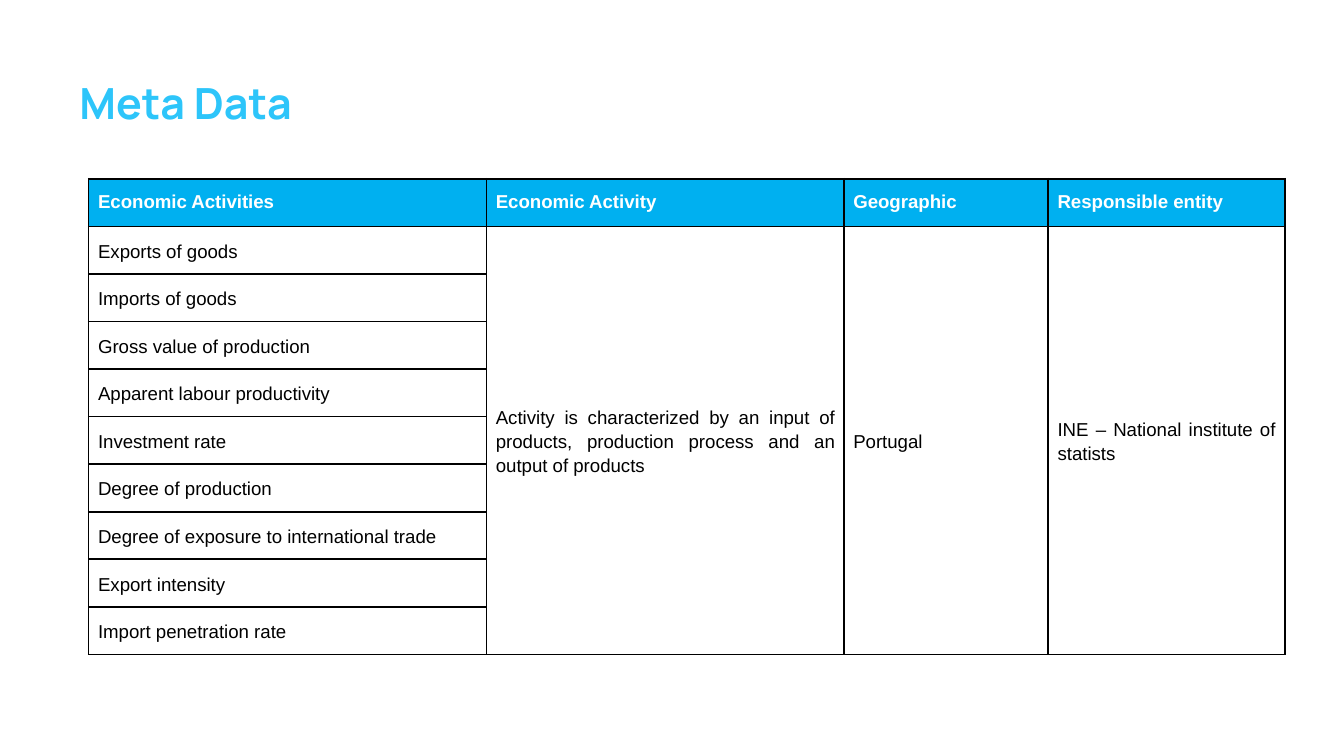
from pptx import Presentation, util as u
from pptx.dml import color
from pptx.enum import text
from pptx.oxml import parse_xml
from pptx.oxml import ns

TITLE = "Meta Data"
HEADERS = ["Economic Activities", "Economic Activity", "Geographic", "Responsible entity"]
ACTIVITIES = [
    "Exports of goods",
    "Imports of goods",
    "Gross value of production",
    "Apparent labour productivity",
    "Investment rate",
    "Degree of production",
    "Degree of exposure to international trade",
    "Export intensity",
    "Import penetration rate",
]
SHARED = [
    "Activity is characterized by an input of products, production process and an output of products",
    "Portugal",
    "INE – National institute of statists",
]

THEME = {
    "title": {"name": "Manrope", "size": 23, "bold": True, "color": "2DC5FA"},
    "header": {"name": "Arial", "size": 10, "bold": True, "color": "FFFFFF"},
    "body": {"name": "Arial", "size": 10, "bold": False, "color": "000000"},
    "header_fill": "00B0F0",
    "border": "000000",
}
SLIDE_WIDTH = 10
SLIDE_SIZE = (SLIDE_WIDTH, SLIDE_WIDTH * 9 / 16)
TITLE_BOX = (0.49, 0.47, 3.28, 0.81)
TABLE_BOX = (0.66, 1.33, 8.9, 3.54)
COLUMN_WIDTHS = (2.96, 2.66, 1.52, 1.76)


def apply_format(target, values):
    for name, value in values.items():
        setattr(target, name, value)


def style_font(font, style):
    values = {name: style[name] for name in ("name", "bold")}
    apply_format(font, {**values, "size": u.Pt(style["size"])})
    font.color.rgb = color.RGBColor.from_string(style["color"])


def add_borders(cell):
    properties = cell._tc.get_or_add_tcPr()
    for side in ("lnL", "lnR", "lnT", "lnB"):
        properties.append(parse_xml(
            f'<a:{side} {ns.nsdecls("a")} w="{u.Pt(1)}"><a:solidFill>'
            f'<a:srgbClr val="{THEME["border"]}"/></a:solidFill></a:{side}>'
        ))


def write_cell(cell, words, style, spacing):
    cell.text = words
    paragraph = cell.text_frame.paragraphs[0]
    apply_format(paragraph, {"alignment": text.PP_ALIGN.JUSTIFY, "line_spacing": spacing})
    style_font(paragraph.runs[0].font, style)


def add_title(slide):
    shape = slide.shapes.title
    box = map(u.Inches, TITLE_BOX)
    apply_format(shape, dict(zip(("left", "top", "width", "height"), box)))
    frame = shape.text_frame
    margins = ("margin_left", "margin_top", "margin_right", "margin_bottom")
    apply_format(frame, {
        "text": TITLE, "word_wrap": True,
        "auto_size": text.MSO_AUTO_SIZE.NONE,
        "vertical_anchor": text.MSO_ANCHOR.TOP,
        **dict.fromkeys(margins, u.Inches(0.1)),
    })
    paragraph = frame.paragraphs[0]
    apply_format(paragraph, {
        "alignment": text.PP_ALIGN.LEFT, "line_spacing": 1.0,
        "space_before": u.Pt(0), "space_after": u.Pt(16),
    })
    style_font(paragraph.runs[0].font, THEME["title"])


def add_metadata_table(slide):
    row_count = len(ACTIVITIES) + 1
    table = slide.shapes.add_table(
        row_count, len(HEADERS), *map(u.Inches, TABLE_BOX)).table
    apply_format(table, {"first_row": False, "horz_banding": False})
    for column, width in zip(table.columns, COLUMN_WIDTHS):
        column.width = u.Inches(width)
    for row in table.rows:
        row.height = u.Inches(TABLE_BOX[3] / row_count)

    for cell in table.iter_cells():
        add_borders(cell)
        cell.fill.background()
        apply_format(cell, {
            "margin_left": u.Inches(0.07), "margin_right": u.Inches(0.07),
            "margin_top": 0, "margin_bottom": 0,
            "vertical_anchor": text.MSO_ANCHOR.MIDDLE,
        })
    for index, words in enumerate(HEADERS):
        cell = table.cell(0, index)
        cell.fill.solid()
        cell.fill.fore_color.rgb = color.RGBColor.from_string(THEME["header_fill"])
        write_cell(cell, words, THEME["header"], 1.0)
    for index, words in enumerate(ACTIVITIES, 1):
        write_cell(table.cell(index, 0), words, THEME["body"], 1.15)
    for index, words in enumerate(SHARED, 1):
        cell = table.cell(1, index)
        cell.merge(table.cell(row_count - 1, index))
        write_cell(cell, words, THEME["body"], 1.15)


def main():
    presentation = Presentation()
    presentation.slide_width, presentation.slide_height = map(u.Inches, SLIDE_SIZE)
    slide = presentation.slides.add_slide(presentation.slide_layouts.get_by_name("Title Only"))
    add_title(slide)
    add_metadata_table(slide)
    presentation.save("out.pptx")


if __name__ == "__main__":
    main()
